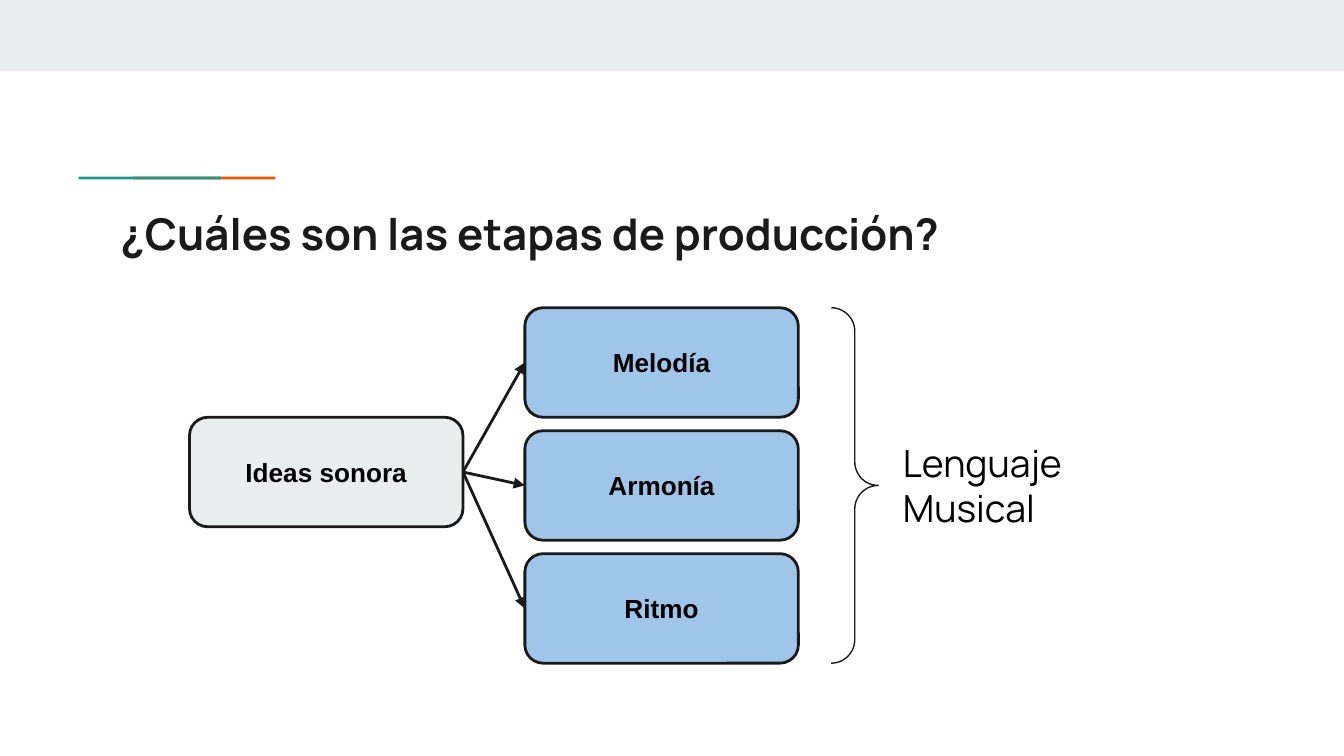
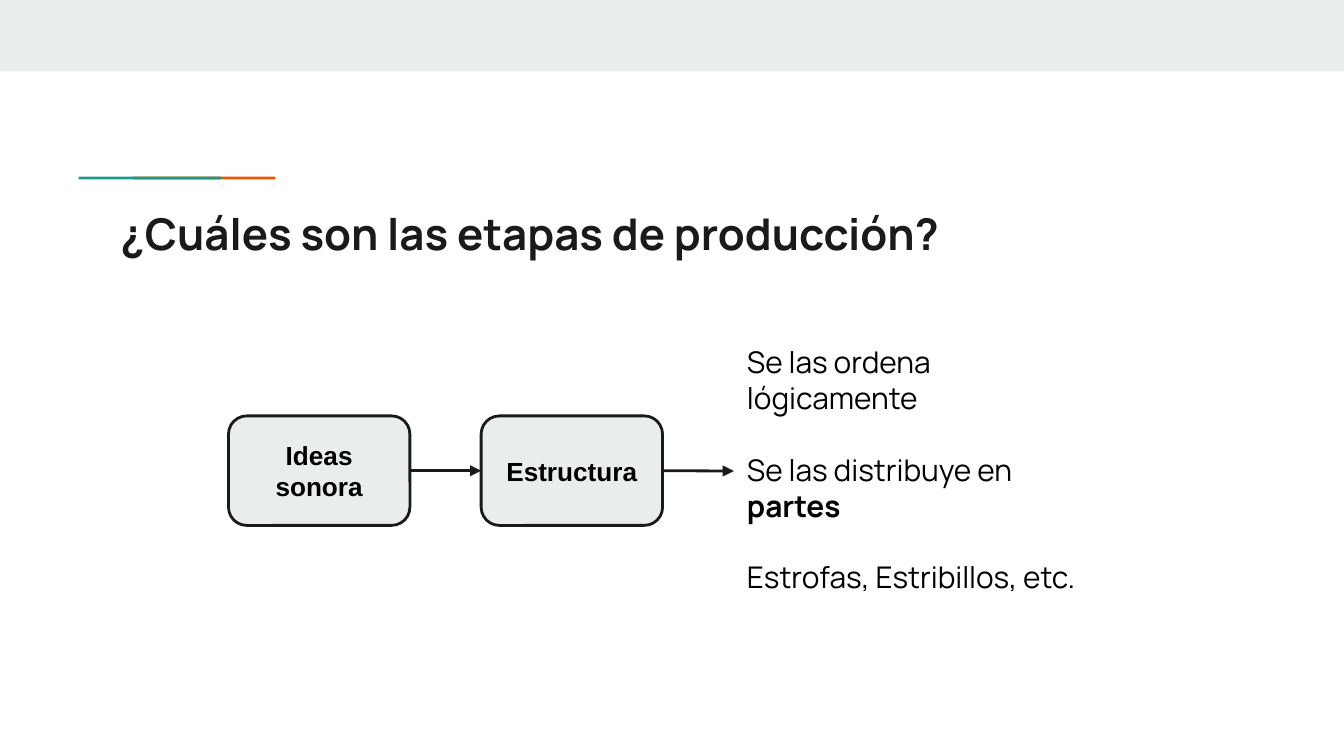
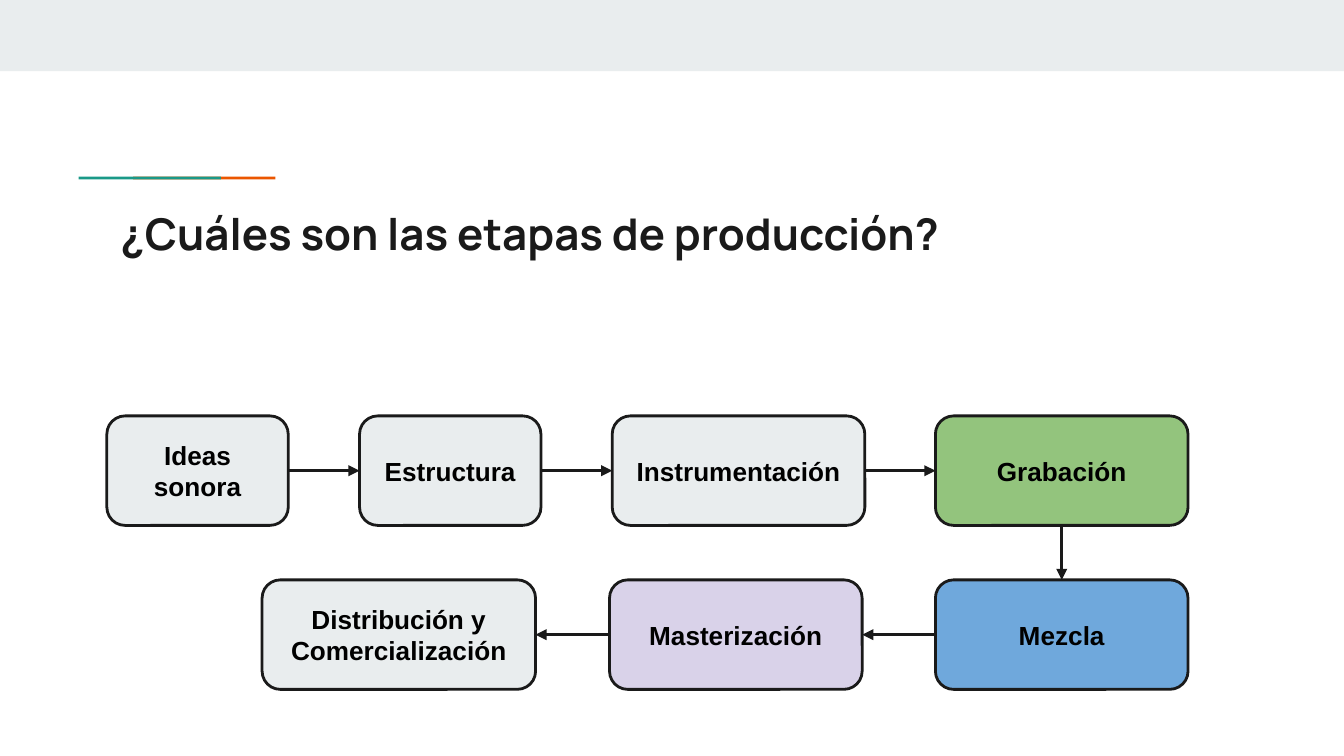
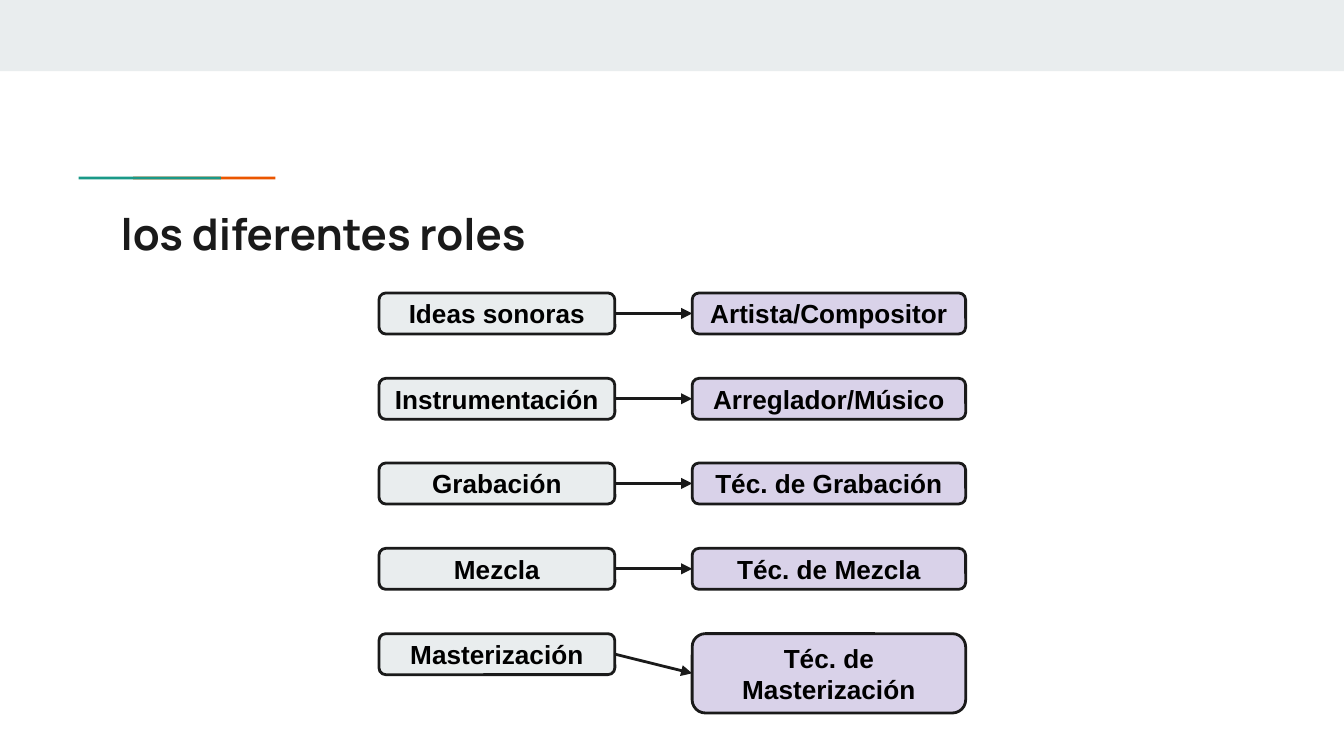
from dataclasses import dataclass, field
from itertools import pairwise
from typing import Any

from pptx import Presentation
from pptx.dml.color import RGBColor
from pptx.enum.shapes import MSO_CONNECTOR as Connector, MSO_SHAPE as Preset
from pptx.enum.text import MSO_ANCHOR as Anchor, PP_ALIGN as Align
from pptx.oxml.ns import qn
from pptx.util import Emu, Pt

PX = 4572  # 200 px to the inch
SLIDE_WIDTH, SLIDE_HEIGHT = 2000, 1125
BOX_HEIGHT = 163
TOP, LEFT, BOTTOM, RIGHT = range(4)  # connection sites


@dataclass(frozen=True)
class Theme:
    ink: str = "1A1A1A"
    text: str = "000000"
    grey: str = "E9EDEE"
    teal: str = "1A9988"
    orange: str = "EB5600"
    sky: str = "9FC5E8"
    blue: str = "6FA8DC"
    green: str = "93C47D"
    lilac: str = "D9D2E9"
    heading_font: str = "Manrope"
    box_font: str = "Arial"
    title_size: float = 23.4
    big_size: float = 20
    note_size: float = 16
    box_size: float = 14
    outline: float = 1.5
    thin_outline: float = 0.75


THEME = Theme()


@dataclass(frozen=True)
class Area:
    left: int
    top: int
    width: int
    height: int

    def emu(self) -> list[Emu]:
        return [Emu(n * PX) for n in (self.left, self.top, self.width, self.height)]


@dataclass(frozen=True)
class TextStyle:
    font: str
    size: float
    color: str = THEME.text
    bold: bool = False
    align: Align = Align.LEFT
    anchor: Anchor = Anchor.TOP
    space_before: float = 0


@dataclass(frozen=True)
class Box:
    text: str
    area: Area
    fill: str = THEME.grey


@dataclass(frozen=True)
class Run:
    text: str
    format: dict[str, Any] = field(default_factory=dict)


TITLE = TextStyle(THEME.heading_font, THEME.title_size, THEME.ink, bold=True)
BOX_LABEL = TextStyle(THEME.box_font, THEME.box_size, bold=True,
                      align=Align.CENTER, anchor=Anchor.MIDDLE)
BIG_NOTE = TextStyle(THEME.heading_font, THEME.big_size)
NOTE = TextStyle(THEME.heading_font, THEME.note_size, space_before=19.2)
STAGES_TITLE = "¿Cuáles son las etapas de producción?"


# Drawing helpers

def apply(target: Any, values: dict[str, Any]) -> None:
    for name, value in values.items():
        setattr(target, name, value)


def set_line(line: Any, width: float) -> None:
    line.color.rgb = RGBColor.from_string(THEME.ink)
    line.width = Pt(width)


def write(shape: Any, paragraphs: list[list[Run]], style: TextStyle) -> None:
    frame = shape.text_frame
    margins = dict.fromkeys(
        ("margin_left", "margin_top", "margin_right", "margin_bottom"), Emu(20 * PX))
    apply(frame, {"word_wrap": True, "vertical_anchor": style.anchor, **margins})
    for index, runs in enumerate(paragraphs):
        paragraph = frame.add_paragraph() if index else frame.paragraphs[0]
        apply(paragraph, {"alignment": style.align,
                          "space_before": Pt(style.space_before if index else 0)})
        for part in runs:
            run = paragraph.add_run()
            run.text = part.text
            apply(run.font, {"name": style.font, "size": Pt(style.size),
                             "bold": style.bold, **part.format})
            run.font.color.rgb = RGBColor.from_string(style.color)


def add_text(slide: Any, area: Area, paragraphs: list[list[Run]], style: TextStyle) -> Any:
    shape = slide.shapes.add_textbox(*area.emu())
    write(shape, paragraphs, style)
    return shape


def add_preset(slide: Any, preset: Preset, area: Area, fill: str | None = None,
               outline: float = 0) -> Any:
    shape = slide.shapes.add_shape(preset, *area.emu())
    shape.shadow.inherit = False
    if fill:
        shape.fill.solid()
        shape.fill.fore_color.rgb = RGBColor.from_string(fill)
    else:
        shape.fill.background()
    if outline:
        set_line(shape.line, outline)
    else:
        shape.line.fill.background()
    return shape


def add_box(slide: Any, box: Box) -> Any:
    shape = add_preset(slide, Preset.ROUNDED_RECTANGLE, box.area, box.fill, THEME.outline)
    write(shape, [[Run(box.text)]], BOX_LABEL)
    return shape


def add_arrow(slide: Any, source: Any, target: Any,
              start: int = RIGHT, end: int = LEFT) -> None:
    arrow = slide.shapes.add_connector(Connector.STRAIGHT, 0, 0, 0, 0)
    arrow.begin_connect(source, start)
    arrow.end_connect(target, end)
    set_line(arrow.line, THEME.outline)
    properties = arrow.element.spPr
    line = properties.find(qn("a:ln"))
    line.append(line.makeelement(qn("a:tailEnd"), {"type": "triangle"}))
    properties.append(properties.makeelement(qn("a:effectLst"), {}))


def add_base(presentation: Any, title: str) -> Any:
    slide = presentation.slides.add_slide(presentation.slide_layouts[6])
    add_preset(slide, Preset.RECTANGLE, Area(0, 0, SLIDE_WIDTH, 106), THEME.grey)
    for left, color in ((198, THEME.orange), (117, THEME.teal)):
        add_preset(slide, Preset.RECTANGLE, Area(left, 263, 212, 4), color)
    add_text(slide, Area(160, 288, 1682, 118), [[Run(title)]], TITLE)
    return slide


# Slides

def build_language(presentation: Any) -> None:
    slide = add_base(presentation, STAGES_TITLE)
    idea = add_box(slide, Box("Ideas sonora", Area(282, 621, 407, BOX_HEIGHT)))
    for index, name in enumerate(("Melodía", "Armonía", "Ritmo")):
        area = Area(781, 458 + 183 * index, 407, BOX_HEIGHT)
        add_arrow(slide, idea, add_box(slide, Box(name, area, THEME.sky)))
    brace = add_preset(slide, Preset.RIGHT_BRACE, Area(1237, 458, 70, 529),
                       outline=THEME.thin_outline)
    brace.adjustments[0] = 0.5
    add_text(slide, Area(1324, 635, 394, 176), [[Run("Lenguaje")], [Run("Musical")]], BIG_NOTE)


def build_structure(presentation: Any) -> None:
    slide = add_base(presentation, STAGES_TITLE)
    notes = add_text(slide, Area(1092, 492, 568, 418), [
        [Run("Se las ordena lógicamente")],
        [Run("Se las distribuye en "), Run("partes", {"bold": True})],
        [Run("Estrofas, Estribillos, etc.")],
    ], NOTE)
    boxes = [add_box(slide, Box(name, Area(left, 619, 270, BOX_HEIGHT)))
             for name, left in (("Ideas sonora", 340), ("Estructura", 716))]
    for source, target in pairwise([*boxes, notes]):
        add_arrow(slide, source, target)


def build_stages(presentation: Any) -> None:
    slide = add_base(presentation, STAGES_TITLE)
    upper_top, lower_top = 619, 863
    upper = [add_box(slide, Box(name, Area(left, upper_top, width, BOX_HEIGHT), fill))
             for name, left, width, fill in (
                 ("Ideas sonora", 159, 270, THEME.grey),
                 ("Estructura", 535, 270, THEME.grey),
                 ("Instrumentación", 911, 376, THEME.grey),
                 ("Grabación", 1392, 376, THEME.green))]
    lower = [add_box(slide, Box(name, Area(left, lower_top, width, BOX_HEIGHT), fill))
             for name, left, width, fill in (
                 ("Mezcla", 1392, 376, THEME.blue),
                 ("Masterización", 907, 376, THEME.lilac),
                 ("Distribución y Comercialización", 390, 407, THEME.grey))]
    for source, target in pairwise(upper):
        add_arrow(slide, source, target)
    add_arrow(slide, upper[-1], lower[0], BOTTOM, TOP)
    for source, target in pairwise(lower):
        add_arrow(slide, source, target, LEFT, RIGHT)


def build_roles(presentation: Any) -> None:
    slide = add_base(presentation, "los diferentes roles")
    roles = (
        ("Ideas sonoras", "Artista/Compositor", 61),
        ("Instrumentación", "Arreglador/Músico", 61),
        ("Grabación", "Téc. de Grabación", 61),
        ("Mezcla", "Téc. de Mezcla", 61),
        ("Masterización", "Téc. de Masterización", 118),
    )
    for index, (stage, role, role_height) in enumerate(roles):
        top = round(436 + 126.7 * index)
        stage_box = add_box(slide, Box(stage, Area(564, top, 351, 61)))
        role_box = add_box(slide, Box(role, Area(1030, top, 407, role_height), THEME.lilac))
        add_arrow(slide, stage_box, role_box)


def main() -> None:
    presentation = Presentation()
    apply(presentation, {"slide_width": Emu(SLIDE_WIDTH * PX),
                         "slide_height": Emu(SLIDE_HEIGHT * PX)})
    for build in (build_language, build_structure, build_stages, build_roles):
        build(presentation)
    presentation.save("out.pptx")


if __name__ == "__main__":
    main()
